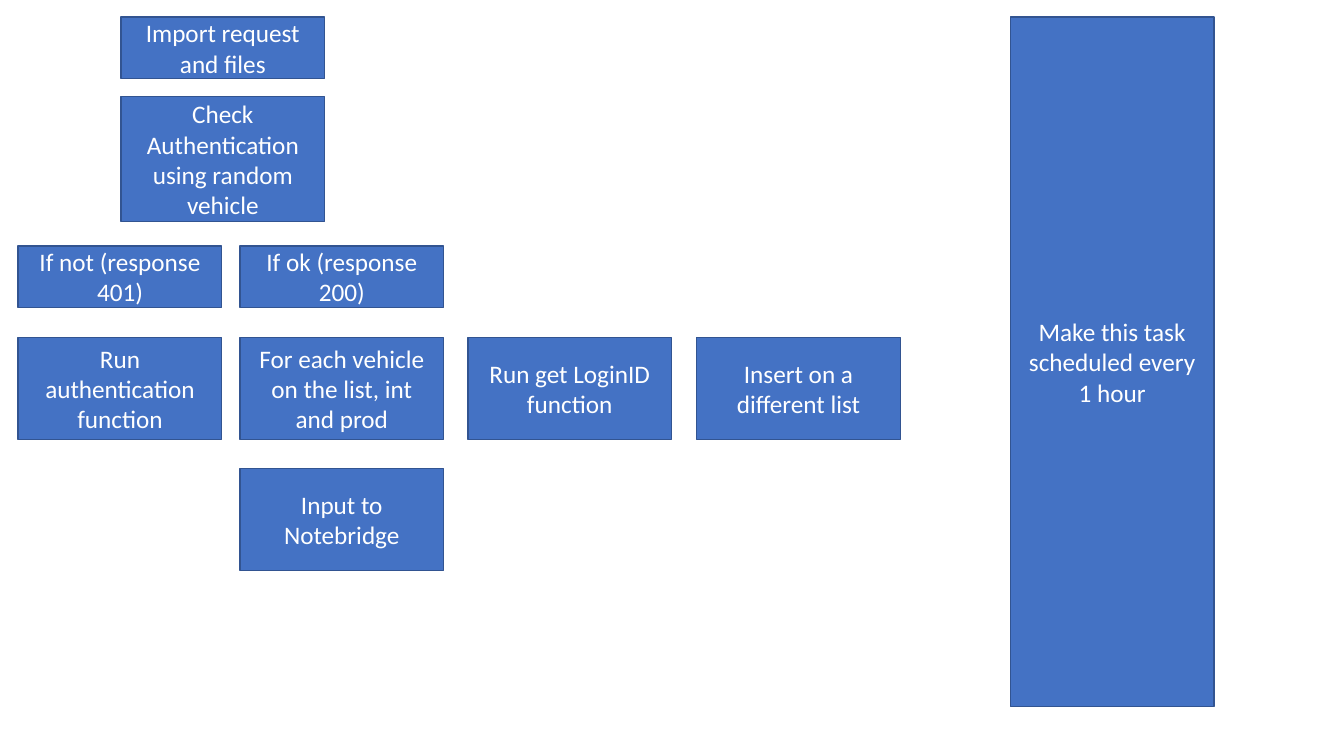
from pptx import Presentation
from pptx.dml.color import RGBColor
from pptx.enum.shapes import MSO_SHAPE
from pptx.enum.text import MSO_ANCHOR, PP_ALIGN
from pptx.util import Inches, Pt

RECTANGLE = MSO_SHAPE.RECTANGLE
MIDDLE = MSO_ANCHOR.MIDDLE
CENTER = PP_ALIGN.CENTER

COLORS = {"box": "4472C4", "border": "325491", "text": "FFFFFF"}
FONT = "Calibri"
BLANK_LAYOUT = 6

# Grid in inches: column lefts, and (top, height) of each row
STEP_WIDTH = 2.02
COLUMNS = {"failed": 0.18, "ok": 2.38, "login": 4.64, "insert": 6.91}
START_LEFT = 1.2  # centred over the two branches
ROWS = {
    "import": (0.17, 0.61),
    "check": (0.96, 1.24),
    "response": (2.44, 0.61),
    "action": (3.35, 1.01),
    "output": (4.65, 1.01),
}
SCHEDULE_BOX = (10.02, 0.17, STEP_WIDTH, 6.84)


def color(name):
    return RGBColor.from_string(COLORS[name])


def add_step(slide, box, label):
    step = slide.shapes.add_shape(RECTANGLE, *(Inches(length) for length in box))
    step.shadow.inherit = False
    step.fill.solid()
    step.fill.fore_color.rgb = color("box")
    step.line.color.rgb = color("border")
    step.line.width = Pt(1)

    frame = step.text_frame
    frame.word_wrap = True
    frame.vertical_anchor = MIDDLE
    frame.text = label
    paragraph = frame.paragraphs[0]
    paragraph.alignment = CENTER
    paragraph.font.name = FONT
    paragraph.font.size = Pt(18)
    paragraph.font.color.rgb = color("text")


def add_row_step(slide, left, row, label):
    top, height = ROWS[row]
    add_step(slide, (left, top, STEP_WIDTH, height), label)


def add_start(slide, left):
    add_row_step(slide, left, "import", "Import request and files")
    add_row_step(slide, left, "check", "Check Authentication using random vehicle")


def add_branches(slide, columns):
    for column, row, label in (
        ("ok", "response", "If ok (response 200)"),
        ("failed", "response", "If not (response 401)"),
        ("failed", "action", "Run authentication function"),
        ("ok", "action", "For each vehicle on the list, int and prod"),
        ("login", "action", "Run get LoginID function"),
        ("insert", "action", "Insert on a different list"),
        ("ok", "output", "Input to Notebridge"),
    ):
        add_row_step(slide, columns[column], row, label)


def main():
    presentation = Presentation()
    presentation.slide_width = Inches(13.33)
    presentation.slide_height = Inches(7.5)
    slide = presentation.slides.add_slide(presentation.slide_layouts[BLANK_LAYOUT])

    add_start(slide, START_LEFT)
    add_branches(slide, COLUMNS)
    add_step(slide, SCHEDULE_BOX, "Make this task scheduled every 1 hour")

    presentation.save("out.pptx")


if __name__ == "__main__":
    main()
